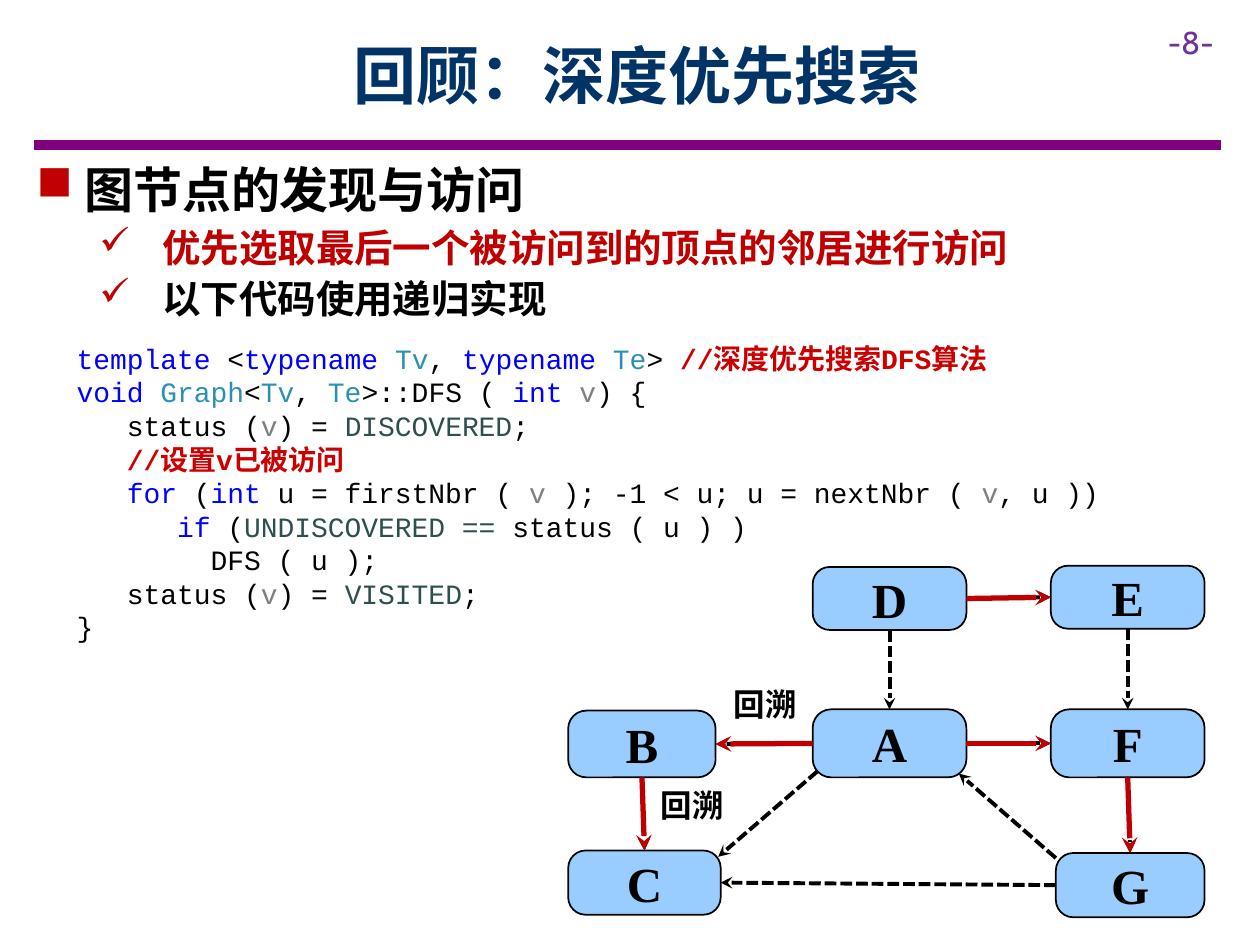
from lxml.etree import SubElement
from pptx import Presentation
from pptx.dml.color import RGBColor
from pptx.enum.dml import MSO_LINE_DASH_STYLE as Dash
from pptx.enum.shapes import MSO_CONNECTOR as Connector, MSO_SHAPE as Shape
from pptx.enum.text import MSO_ANCHOR as Anchor, PP_ALIGN as Align
from pptx.oxml.ns import qn
from pptx.util import Inches, Pt

THEME = {
    "color": {name: RGBColor.from_string(value) for name, value in {
        "plain": "000000", "title": "003366", "rule": "800080", "page": "7030A0",
        "accent": "C00000", "node": "99CCFF", "keyword": "0000FF", "type": "2B91AF",
        "argument": "808080", "constant": "2F4F4F", "comment": "CC0000"}.items()},
    "size": {"title": 36, "heading": 28, "point": 22, "node": 28, "small": 18, "code": 16},
    "font": {"cjk": "Noto Sans CJK SC", "code": "Courier New",
             "node": "Times New Roman", "page": "Cabin"},
}
COLOR, SIZE, FONT = THEME["color"], THEME["size"], THEME["font"]

presentation = Presentation()
presentation.slide_width, presentation.slide_height = Inches(10), Inches(7.5)
COLUMN = presentation.slide_width / 100
ROW = presentation.slide_height / 75
slide = presentation.slides.add_slide(presentation.slide_layouts[5])
shapes = slide.shapes


def place(*cells):
    """Turn alternating column and row counts into lengths."""
    return [round(cell * (ROW if index % 2 else COLUMN)) for index, cell in enumerate(cells)]


def write(paragraph, text, size, font="cjk", color="plain", bold=True, align=Align.LEFT):
    """Add text, in one color or as (text, color) pairs; comments are always bold."""
    paragraph.alignment = align
    for part, role in [(text, color)] if isinstance(text, str) else text:
        run = paragraph.add_run()
        run.text = part
        run.font.size = Pt(SIZE[size])
        run.font.name = FONT[font]
        run.font.bold = bold or role == "comment"
        run.font.color.rgb = COLOR[role]
        properties = run.font._element
        SubElement(properties, qn("a:ea"), typeface=FONT["cjk"])


# Title and page number
title = shapes.title
title.left, title.top, title.width, title.height = place(9, 0.9, 83.1, 10)
title.text_frame.vertical_anchor = Anchor.MIDDLE
write(title.text_frame.paragraphs[0], "回顾：深度优先搜索", "title", color="title",
      align=Align.CENTER)
page = shapes.add_textbox(*place(91.7, 1.3, 8.3, 4)).text_frame
page.word_wrap = True
write(page.paragraphs[0], "-8-", "small", font="page", color="page", bold=False)

# Bullet list
POINTS = [
    ("图节点的发现与访问", "heading", "plain", 0, "■", 0.38, 0.38),
    ("优先选取最后一个被访问到的顶点的邻居进行访问", "point", "accent", 1, "✓", 1, 0.5),
    ("以下代码使用递归实现", "point", "plain", 1, "✓", 1, 0.5),
]
body = shapes.add_textbox(*place(1.9, 12.2, 98.5, 14)).text_frame
body.word_wrap = True
for index, (text, size, color, level, bullet, margin, hanging) in enumerate(POINTS):
    paragraph = body.add_paragraph() if index else body.paragraphs[0]
    paragraph.level = level
    paragraph.space_after = Pt(3)
    properties = paragraph._p.get_or_add_pPr()
    properties.set("marL", str(Inches(margin)))
    properties.set("indent", str(-Inches(hanging)))
    bullet_color = SubElement(properties, qn("a:buClr"))
    SubElement(bullet_color, qn("a:srgbClr"), val=str(COLOR["accent"]))
    SubElement(properties, qn("a:buChar"), char=bullet)
    write(paragraph, text, size, color=color)

# Code listing
CODE = [
    [("template", "keyword"), (" <", "plain"), ("typename", "keyword"), (" ", "plain"),
     ("Tv", "type"), (", ", "plain"), ("typename", "keyword"), (" ", "plain"),
     ("Te", "type"), ("> ", "plain"), ("//深度优先搜索DFS算法", "comment")],
    [("void", "keyword"), (" ", "plain"), ("Graph", "type"), ("<", "plain"), ("Tv", "type"),
     (", ", "plain"), ("Te", "type"), (">::DFS ( ", "plain"), ("int", "keyword"),
     (" ", "plain"), ("v", "argument"), (") {", "plain")],
    [("   status (", "plain"), ("v", "argument"), (") = ", "plain"),
     ("DISCOVERED", "constant"), (";", "plain")],
    [("   //设置v已被访问", "comment")],
    [("   for", "keyword"), (" (", "plain"), ("int", "keyword"),
     (" u = firstNbr ( ", "plain"), ("v", "argument"),
     (" ); -1 < u; u = nextNbr ( ", "plain"), ("v", "argument"), (", u ))", "plain")],
    [("      if", "keyword"), (" (", "plain"), ("UNDISCOVERED == ", "constant"),
     ("status ( u ) )", "plain")],
    [("        DFS ( u );", "plain")],
    [("   status (", "plain"), ("v", "argument"), (") = ", "plain"),
     ("VISITED", "constant"), (";", "plain")],
    [("}", "plain")],
]
code = shapes.add_textbox(*place(5.1, 26.6, 97.7, 25.2)).text_frame
code.word_wrap = True
for index, line in enumerate(CODE):
    paragraph = code.add_paragraph() if index else code.paragraphs[0]
    paragraph.line_spacing = Pt(19.2)
    write(paragraph, line, "code", font="code", bold=False)

# Graph nodes
NODES = {
    "A": (64.5, 56.3, 12.2, 5.4), "B": (45.1, 56.4, 11.7, 5.3),
    "C": (45.1, 67.5, 12.1, 5.1), "D": (64.5, 45, 12.2, 5),
    "E": (83.4, 44.9, 12.2, 5), "F": (83.4, 56.3, 12.2, 5.4),
    "G": (83.8, 67.7, 11.8, 5.1),
}
nodes = {}
for name, cells in NODES.items():
    node = nodes[name] = shapes.add_shape(Shape.ROUNDED_RECTANGLE, *place(*cells))
    node.adjustments[0] = 0.27
    node.shadow.inherit = False
    node.fill.solid()
    node.fill.fore_color.rgb = COLOR["node"]
    node.line.color.rgb = COLOR["plain"]
    node.line.width = Pt(1)
    frame = node.text_frame
    frame.vertical_anchor = Anchor.MIDDLE
    frame.margin_left = frame.margin_right = Inches(0.1)
    frame.margin_top = frame.margin_bottom = Inches(0.1)
    write(frame.paragraphs[0], name, "node", font="node", align=Align.CENTER)

# Lines: the title rule, every graph edge dashed, then the search tree in red on top
TOP, LEFT, BOTTOM, RIGHT = range(4)
TREE = [("D", RIGHT, "E", LEFT), ("A", LEFT, "B", RIGHT), ("A", RIGHT, "F", LEFT),
        ("B", BOTTOM, "C", TOP), ("F", BOTTOM, "G", TOP)]
OTHER = [("D", BOTTOM, "A", TOP), ("E", BOTTOM, "F", TOP), ("G", LEFT, "C", RIGHT)]
DIAGONALS = [(64.9, 61.2, 57, 68), (83.8, 68.1, 76.1, 61.4)]
LINES = [("rule", 6, [(2.7, 11.5, 96.9, 11.5)]),
         ("plain", 2.25, DIAGONALS + OTHER + TREE),
         ("accent", 3, TREE)]
for color, width, ends in LINES:
    for start, start_side, end, end_side in ends:
        if start in nodes:
            line = shapes.add_connector(Connector.STRAIGHT, 0, 0, 0, 0)
            line.begin_connect(nodes[start], start_side)
            line.end_connect(nodes[end], end_side)
        else:
            line = shapes.add_connector(Connector.STRAIGHT,
                                        *place(start, start_side, end, end_side))
        line.line.color.rgb = COLOR[color]
        line.line.width = Pt(width)
        if color == "plain":
            line.line.dash_style = Dash.SQUARE_DOT
        if color != "rule":
            SubElement(line.line._get_or_add_ln(), qn("a:tailEnd"), type="stealth")
        SubElement(line._element.spPr, qn("a:effectLst"))

# Backtracking labels
for left, top in [(57.2, 53.9), (51.4, 61.9)]:
    label = shapes.add_textbox(*place(left, top, 7.1, 4)).text_frame
    label.word_wrap = False
    write(label.paragraphs[0], "回溯", "small", align=Align.CENTER)

presentation.save("out.pptx")
